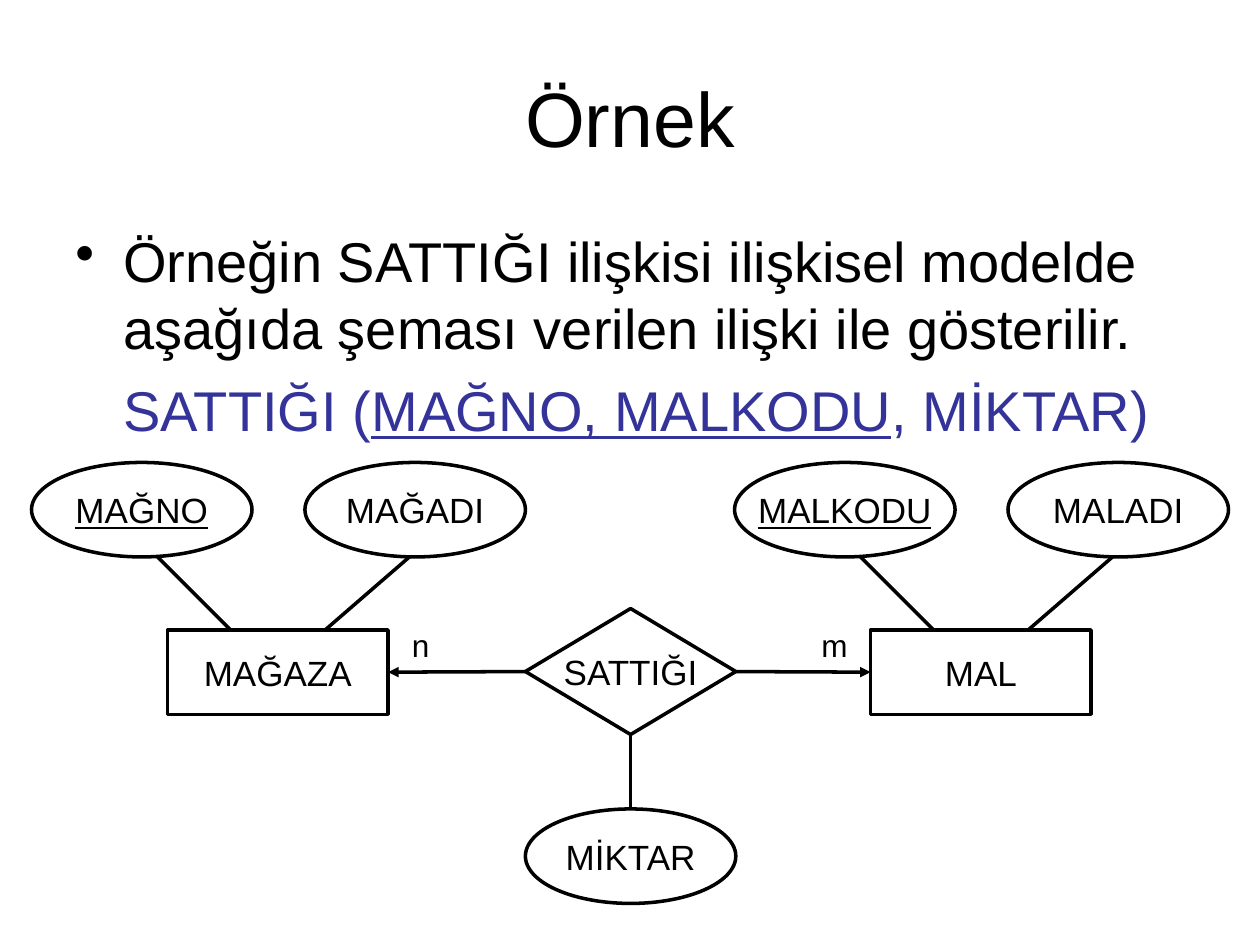
from typing import NamedTuple

from lxml import etree
from pptx import Presentation
from pptx import util as u
from pptx.dml.color import RGBColor
from pptx.enum import shapes, text
from pptx.oxml.ns import qn

Inches = u.Inches
BLACK = RGBColor(0x00, 0x00, 0x00)
BLUE = RGBColor(0x33, 0x33, 0x99)
KIND = shapes.MSO_SHAPE
ALIGN = text.PP_ALIGN
ANCHOR = text.MSO_ANCHOR
TOP, LEFT, BOTTOM, RIGHT = range(4)


class Run(NamedTuple):
    words: str
    under: bool = False


class Node(NamedTuple):
    name: str
    kind: KIND
    x: float
    y: float
    w: float
    h: float
    under: bool = False


class Side(NamedTuple):
    dx: float
    entity: str
    key: str
    attr: str


def write(para, runs: list[Run], *, size=20, color=BLACK, align=ALIGN.LEFT,
          before=0, indent=0.0, bullet=False) -> None:
    """Fill one paragraph with formatted runs."""
    if indent:
        props = para._p.get_or_add_pPr()
        props.set("marL", str(Inches(indent)))
        props.set("indent", str(Inches(-indent if bullet else 0)))
        if bullet:
            etree.SubElement(props, qn("a:buChar")).set("char", "•")
        else:
            etree.SubElement(props, qn("a:buNone"))
    para.alignment = align
    para.space_before = u.Pt(before)
    for words, under in runs:
        run = para.add_run()
        run.text = words
        font = run.font
        font.name, font.size, font.underline = "Arial", u.Pt(size), under
        font.color.rgb = color


def add_box(slide, x: float, y: float, w: float, h: float, anchor=ANCHOR.TOP):
    box = slide.shapes.add_textbox(Inches(x), Inches(y), Inches(w), Inches(h))
    frame = box.text_frame
    frame.word_wrap = True
    frame.vertical_anchor = anchor
    return frame


def add_node(slide, node: Node):
    shape = slide.shapes.add_shape(
        node.kind, Inches(node.x), Inches(node.y), Inches(node.w), Inches(node.h))
    shape.shadow.inherit = False
    shape.fill.background()
    shape.line.color.rgb = BLACK
    shape.line.width = u.Pt(2)
    frame = shape.text_frame
    frame.word_wrap = False
    frame.vertical_anchor = ANCHOR.MIDDLE
    write(frame.paragraphs[0], [Run(node.name, node.under)], align=ALIGN.CENTER)
    return shape


def add_line(slide, x1=0.0, y1=0.0, x2=0.0, y2=0.0, arrow=False):
    line = slide.shapes.add_connector(
        shapes.MSO_CONNECTOR.STRAIGHT,
        Inches(x1), Inches(y1), Inches(x2), Inches(y2))
    line.line.color.rgb = BLACK
    line.line.width = u.Pt(2)
    if arrow:
        etree.SubElement(line.line._get_or_add_ln(), qn("a:tailEnd")).set(
            "type", "triangle")
    etree.SubElement(line._element.spPr, qn("a:effectLst"))
    return line


def join(slide, start, begin: int, stop, end: int, arrow=False) -> None:
    line = add_line(slide, arrow=arrow)
    line.begin_connect(start, begin)
    line.end_connect(stop, end)


def add_side(slide, side: Side):
    """Draw an entity with its two attributes; return the entity."""
    dx = side.dx
    entity = add_node(slide, Node(side.entity, KIND.RECTANGLE, 1.33 + dx, 5, 1.75, 0.67))
    add_node(slide, Node(side.key, KIND.OVAL, 0.25 + dx, 3.67, 1.75, 0.75, True))
    add_node(slide, Node(side.attr, KIND.OVAL, 2.42 + dx, 3.67, 1.75, 0.75))
    for x1, x2 in ((1.25, 1.83), (3.25, 2.58)):
        add_line(slide, x1 + dx, 4.42, x2 + dx, 5)
    return entity


def main() -> None:
    deck = Presentation()
    deck.slide_width, deck.slide_height = Inches(10), Inches(7.5)
    slide = deck.slides.add_slide(deck.slide_layouts[6])

    # Title and body
    title = add_box(slide, 0.5, 0.3, 9, 1.25, ANCHOR.MIDDLE)
    write(title.paragraphs[0], [Run("Örnek")], size=44, align=ALIGN.CENTER)
    body = add_box(slide, 0.5, 1.75, 9, 1.84)
    write(body.paragraphs[0],
          [Run("Örneğin SATTIĞI ilişkisi ilişkisel modelde "
               "aşağıda şeması verilen ilişki ile gösterilir.")],
          size=32, indent=0.38, bullet=True)
    write(body.add_paragraph(),
          [Run("SATTIĞI ("), Run("MAĞNO, MALKODU", True), Run(", MİKTAR)")],
          size=32, color=BLUE, before=8, indent=0.38)

    # Entities and their attributes
    store = add_side(slide, Side(0, "MAĞAZA", "MAĞNO", "MAĞADI"))
    goods = add_side(slide, Side(5.58, "MAL", "MALKODU", "MALADI"))

    # Relationship and its attribute
    sale = add_node(slide, Node("SATTIĞI", KIND.DIAMOND, 4.17, 4.83, 1.67, 1))
    amount = add_node(slide, Node("MİKTAR", KIND.OVAL, 4.17, 6.42, 1.67, 0.75))
    join(slide, sale, LEFT, store, RIGHT, arrow=True)
    join(slide, sale, RIGHT, goods, LEFT, arrow=True)
    join(slide, sale, BOTTOM, amount, TOP)

    # Cardinalities
    for words, x in (("n", 3.17), ("m", 6.42)):
        label = add_box(slide, x, 4.92, 0.42, 0.4)
        write(label.paragraphs[0], [Run(words)], size=18)

    deck.save("out.pptx")


if __name__ == "__main__":
    main()
